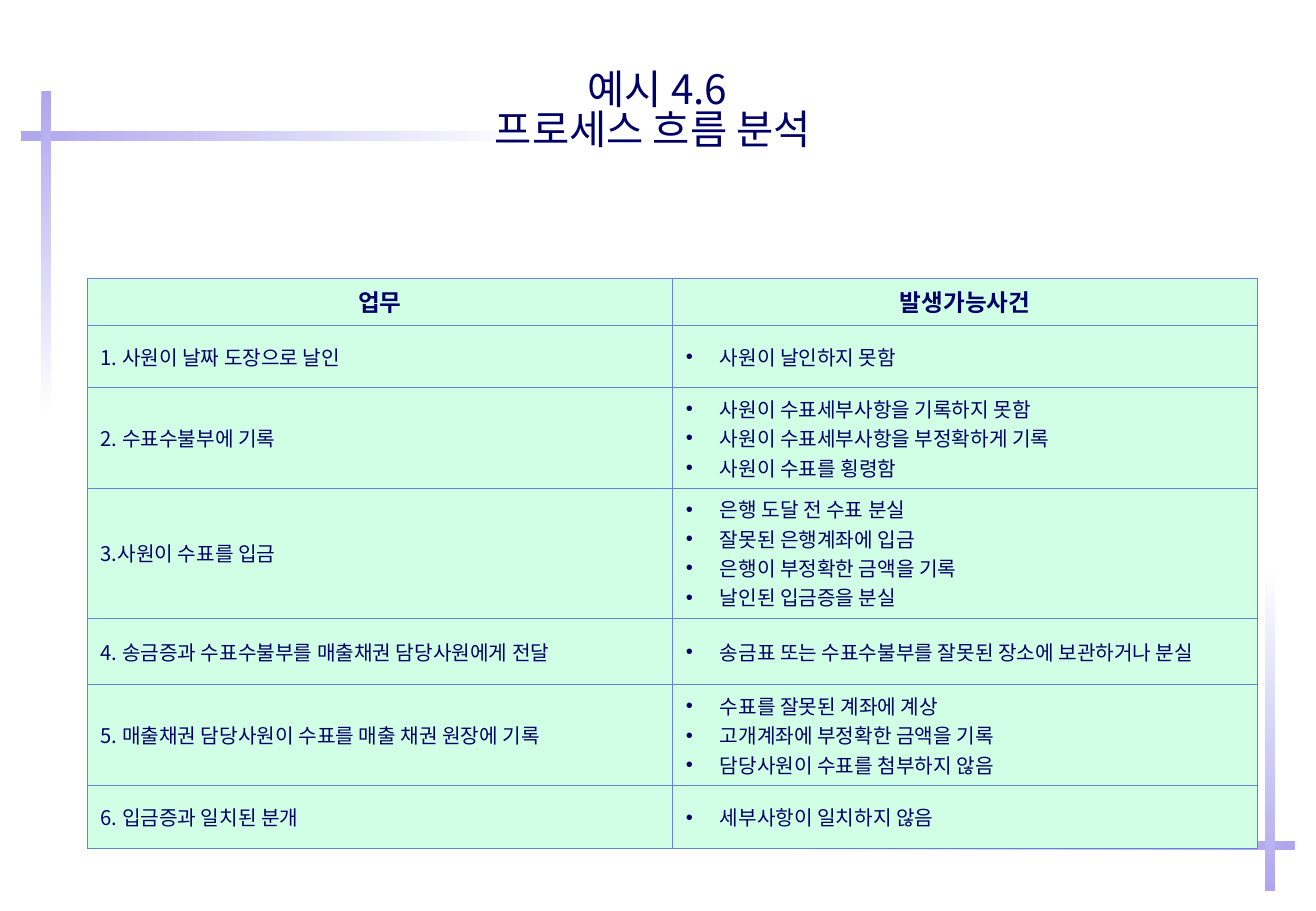
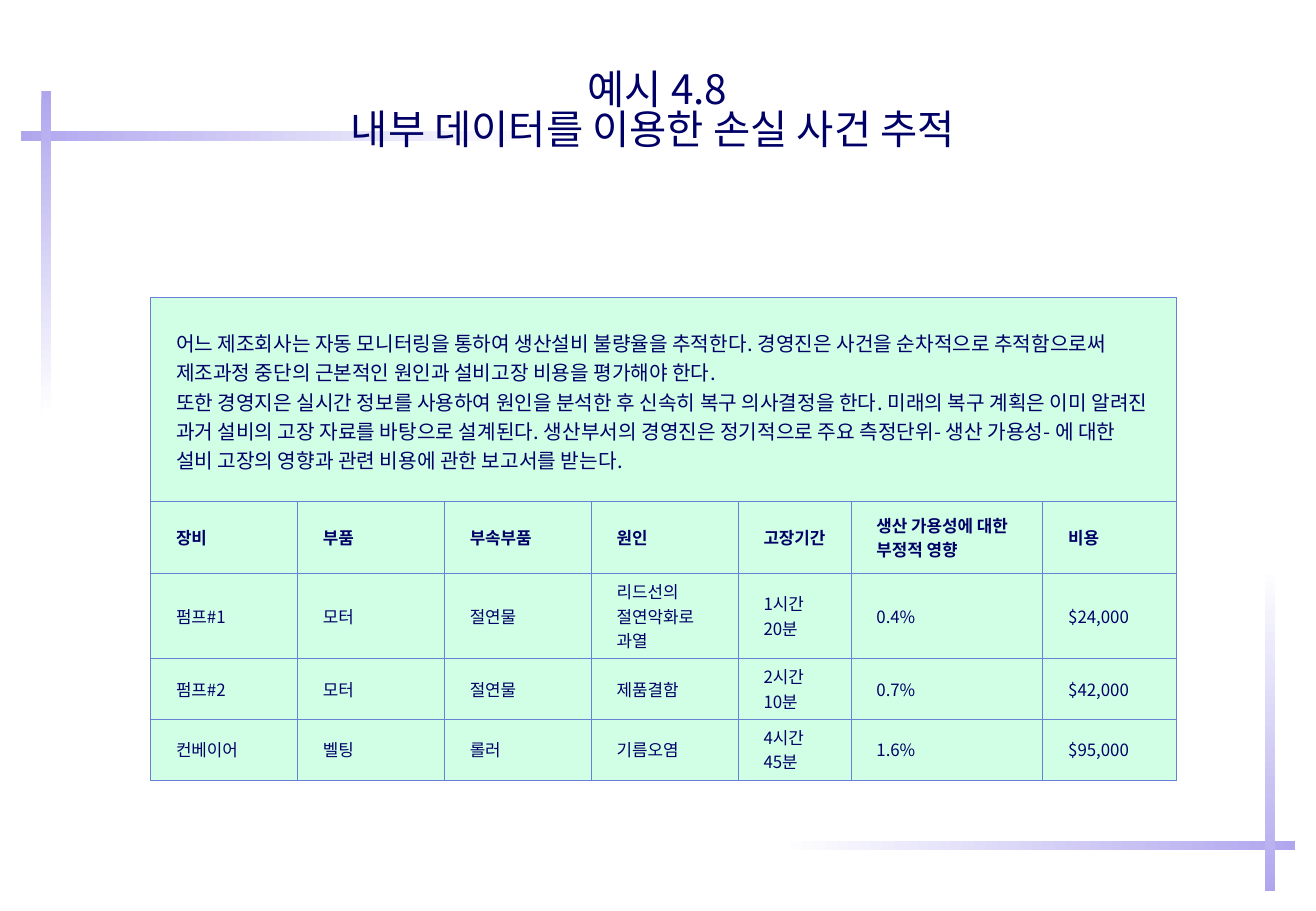
from dataclasses import dataclass

from lxml import etree
from pptx import Presentation
from pptx.dml.color import RGBColor
from pptx.enum.shapes import MSO_SHAPE
from pptx.enum.text import MSO_ANCHOR, MSO_AUTO_SIZE, PP_ALIGN
from pptx.oxml.ns import qn
from pptx.util import Pt

RECT = MSO_SHAPE.RECTANGLE
TOP, MIDDLE = MSO_ANCHOR.TOP, MSO_ANCHOR.MIDDLE
LEFT, CENTER = PP_ALIGN.LEFT, PP_ALIGN.CENTER
NO_FIT = MSO_AUTO_SIZE.NONE
EMU_PER_PX = 9144
TITLE_ONLY = 5


@dataclass(frozen=True)
class Theme:
    font: str = "Noto Sans CJK KR"
    ink: str = "000066"
    mint: str = "D1FFE6"
    rule: str = "6781D5"
    violet: str = "AFA6EE"
    white: str = "FFFFFF"
    title: int = 24
    head: int = 14
    body: int = 12
    small: int = 10
    rule_pt: float = 0.45
    title_spacing: float = 0.82


T = Theme()
SLIDE = (1084, 750)
TITLE_BOX = (54, 30, 975, 125)
HORIZONTAL, VERTICAL = 0, 270
BANDS = [
    ((17, 108, 425, 8), HORIZONTAL, (T.violet, T.white)),
    ((34, 75, 8, 267), VERTICAL, (T.violet, T.white)),
    ((642, 692, 425, 8), HORIZONTAL, (T.white, T.violet)),
    ((1042, 467, 8, 267), VERTICAL, (T.white, T.violet)),
]

FLOW_TITLE = "예시 4.6\v프로세스 흐름 분석 "
FLOW_BOX = (72, 229, 964, 469)
FLOW_HEIGHTS = [39, 51, 83, 106, 55, 83, 52]
FLOW_HEAD = ["업무", "발생가능사건"]
FLOW = [
    ("1. 사원이 날짜 도장으로 날인", "사원이 날인하지 못함"),
    ("2. 수표수불부에 기록",
     "사원이 수표세부사항을 기록하지 못함\n사원이 수표세부사항을 부정확하게 기록\n사원이 수표를 횡령함"),
    ("3.사원이 수표를 입금",
     "은행 도달 전 수표 분실\n잘못된 은행계좌에 입금\n은행이 부정확한 금액을 기록\n날인된 입금증을 분실"),
    ("4. 송금증과 수표수불부를 매출채권 담당사원에게 전달",
     "송금표 또는 수표수불부를 잘못된 장소에 보관하거나 분실"),
    ("5. 매출채권 담당사원이 수표를 매출 채권 원장에 기록",
     "수표를 잘못된 계좌에 계상\n고개계좌에 부정확한 금액을 기록\n담당사원이 수표를 첨부하지 않음"),
    ("6. 입금증과 일치된 분개", "세부사항이 일치하지 않음"),
]

LOSS_TITLE = "예시 4.8\v내부 데이터를 이용한 손실 사건 추적 "
LOSS_BOX = (124, 245, 845, 397)
LOSS_WIDTHS = [121, 121, 121, 121, 93, 158, 110]
LOSS_HEIGHTS = [168, 59, 70, 50, 50]
LOSS_INTRO = (
    "어느 제조회사는 자동 모니터링을 통하여 생산설비 불량율을 추적한다. "
    "경영진은 사건을 순차적으로 추적함으로써 제조과정 중단의 근본적인 원인과 "
    "설비고장 비용을 평가해야 한다.\n"
    "또한 경영지은 실시간 정보를 사용하여 원인을 분석한 후 신속히 복구 의사결정을 한다. "
    "미래의 복구 계획은 이미 알려진 과거 설비의 고장 자료를 바탕으로 설계된다. "
    "생산부서의 경영진은 정기적으로 주요 측정단위- 생산 가용성- 에 대한 "
    "설비 고장의 영향과 관련 비용에 관한 보고서를 받는다."
)
LOSS = [
    ("장비", "부품", "부속부품", "원인", "고장기간", "생산 가용성에 대한 부정적 영향", "비용"),
    ("펌프#1", "모터", "절연물", "리드선의 절연악화로 과열", "1시간\n20분", "0.4%", "$24,000"),
    ("펌프#2", "모터", "절연물", "제품결함", "2시간\n10분", "0.7%", "$42,000"),
    ("컨베이어", "벨팅", "롤러", "기름오염", "4시간\n45분", "1.6%", "$95,000"),
]


def px(n):
    return n * EMU_PER_PX


def rgb(value):
    return RGBColor.from_string(value)


def apply(target, **formats):
    for name, value in formats.items():
        setattr(target, name, value)


def style_run(r, size, bold=False):
    apply(r.font, size=Pt(size), bold=bold, name=T.font)
    r.font.color.rgb = rgb(T.ink)
    etree.SubElement(r._r.get_or_add_rPr(), qn("a:ea"), typeface=T.font)


def add_bullet(p, indent):
    pPr = p._p.get_or_add_pPr()
    apply_xml = {"marL": px(indent), "indent": -px(indent)}
    for name, value in apply_xml.items():
        pPr.set(name, str(value))
    etree.SubElement(pPr, qn("a:buFont"), typeface="Arial")
    etree.SubElement(pPr, qn("a:buChar"), char="•")


def add_borders(cell):
    tcPr = cell._tc.get_or_add_tcPr()
    for i, side in enumerate(("lnL", "lnR", "lnT", "lnB")):
        ln = etree.Element(qn("a:" + side), w=str(int(Pt(T.rule_pt))))
        fill = etree.SubElement(ln, qn("a:solidFill"))
        etree.SubElement(fill, qn("a:srgbClr"), val=T.rule)
        tcPr.insert(i, ln)


def write_cell(cell, text, size, bold=False, align=LEFT, anchor=MIDDLE,
               side=11, top=5, bullet=0):
    apply(cell, vertical_anchor=anchor, margin_left=px(side),
          margin_right=px(side), margin_top=px(top), margin_bottom=px(5))
    tf = cell.text_frame
    tf.text = text
    for p in tf.paragraphs:
        p.alignment = align
        if bullet:
            add_bullet(p, bullet)
        for r in p.runs:
            style_run(r, size, bold)


def add_grid(s, box, widths, heights):
    frame = s.shapes.add_table(len(heights), len(widths), *map(px, box))
    tbl = frame.table
    apply(tbl, first_row=False, horz_banding=False)
    for col, w in zip(tbl.columns, widths):
        col.width = px(w)
    for row, h in zip(tbl.rows, heights):
        row.height = px(h)
    for cell in tbl.iter_cells():
        cell.fill.solid()
        cell.fill.fore_color.rgb = rgb(T.mint)
        add_borders(cell)
    return tbl


def add_bands(s, layout):
    for i, (box, angle, colors) in enumerate(BANDS):
        sp = s.shapes.add_shape(RECT, *map(px, box))
        sp.shadow.inherit = False
        sp.line.fill.background()
        sp.fill.gradient()
        sp.fill.gradient_angle = angle
        for stop, color in zip(sp.fill.gradient_stops, colors):
            stop.color.rgb = rgb(color)
        layout.shapes.element.insert(2 + i, sp.element)


def add_title(s, text, box):
    sp = s.shapes.title
    apply(sp, **dict(zip(("left", "top", "width", "height"), map(px, box))))
    tf = sp.text_frame
    tf.text = text
    apply(tf, vertical_anchor=MIDDLE, word_wrap=True, auto_size=NO_FIT)
    p = tf.paragraphs[0]
    apply(p, alignment=CENTER, line_spacing=T.title_spacing)
    for r in p.runs:
        style_run(r, T.title)


def flow_slide(s, box):
    add_title(s, FLOW_TITLE, TITLE_BOX)
    tbl = add_grid(s, box, [box[2] // 2] * 2, FLOW_HEIGHTS)
    for c, text in enumerate(FLOW_HEAD):
        write_cell(tbl.cell(0, c), text, T.head, True, CENTER, TOP)
    for i, (task, events) in enumerate(FLOW, 1):
        write_cell(tbl.cell(i, 0), task, T.body)
        write_cell(tbl.cell(i, 1), events, T.body, bullet=28)


def loss_slide(s, box):
    add_title(s, LOSS_TITLE, TITLE_BOX)
    tbl = add_grid(s, box, LOSS_WIDTHS, LOSS_HEIGHTS)
    intro = tbl.cell(0, 0)
    intro.merge(tbl.cell(0, len(LOSS_WIDTHS) - 1))
    write_cell(intro, LOSS_INTRO, T.body, anchor=TOP, side=21, top=25)
    for i, row in enumerate(LOSS, 1):
        for c, text in enumerate(row):
            write_cell(tbl.cell(i, c), text, T.small, bold=i == 1, side=21)


def main():
    prs = Presentation()
    prs.slide_width, prs.slide_height = map(px, SLIDE)
    layout = prs.slide_layouts[TITLE_ONLY]
    flow, loss = (prs.slides.add_slide(layout) for _ in range(2))
    add_bands(flow, layout)
    flow_slide(flow, FLOW_BOX)
    loss_slide(loss, LOSS_BOX)
    prs.save("out.pptx")


if __name__ == "__main__":
    main()
